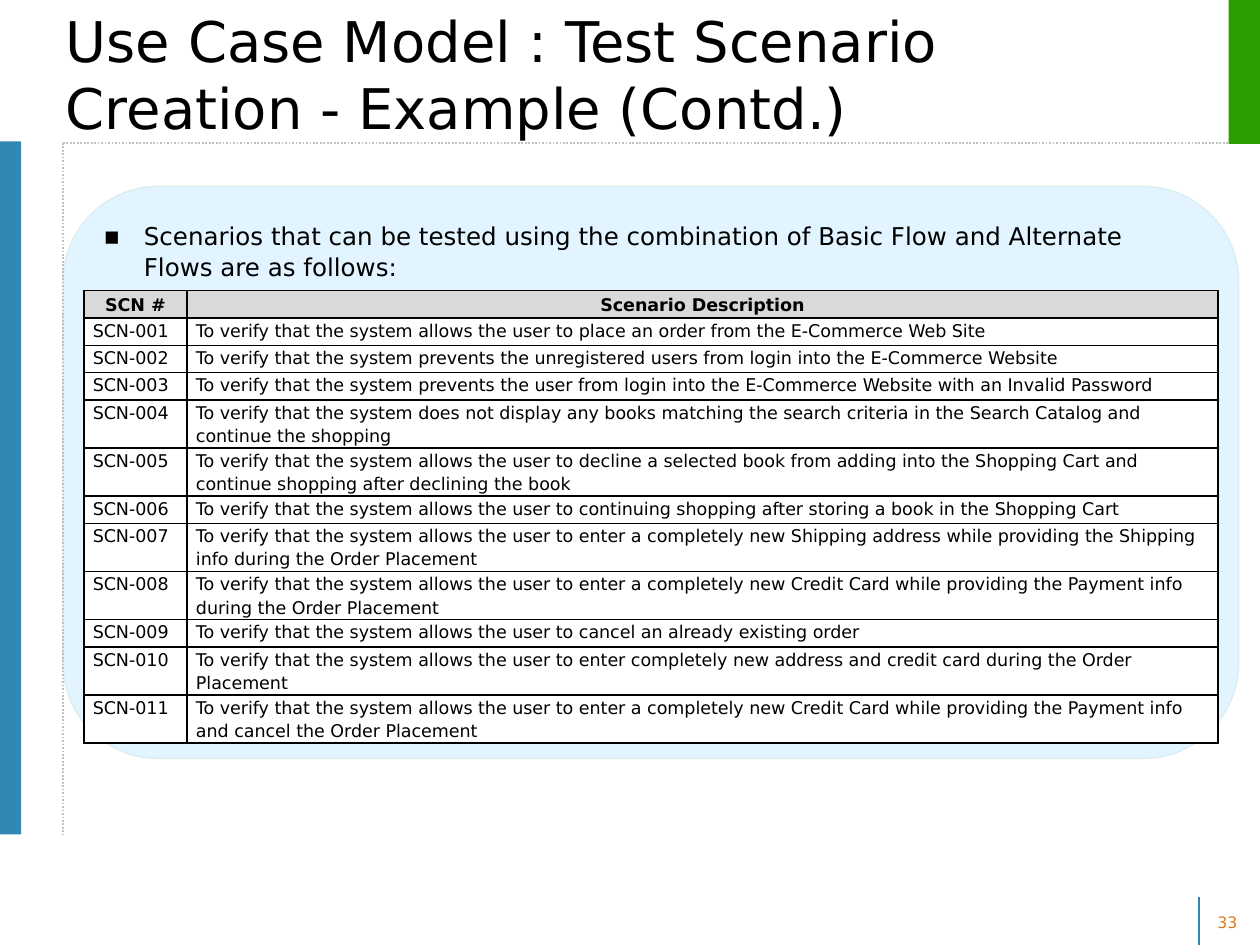
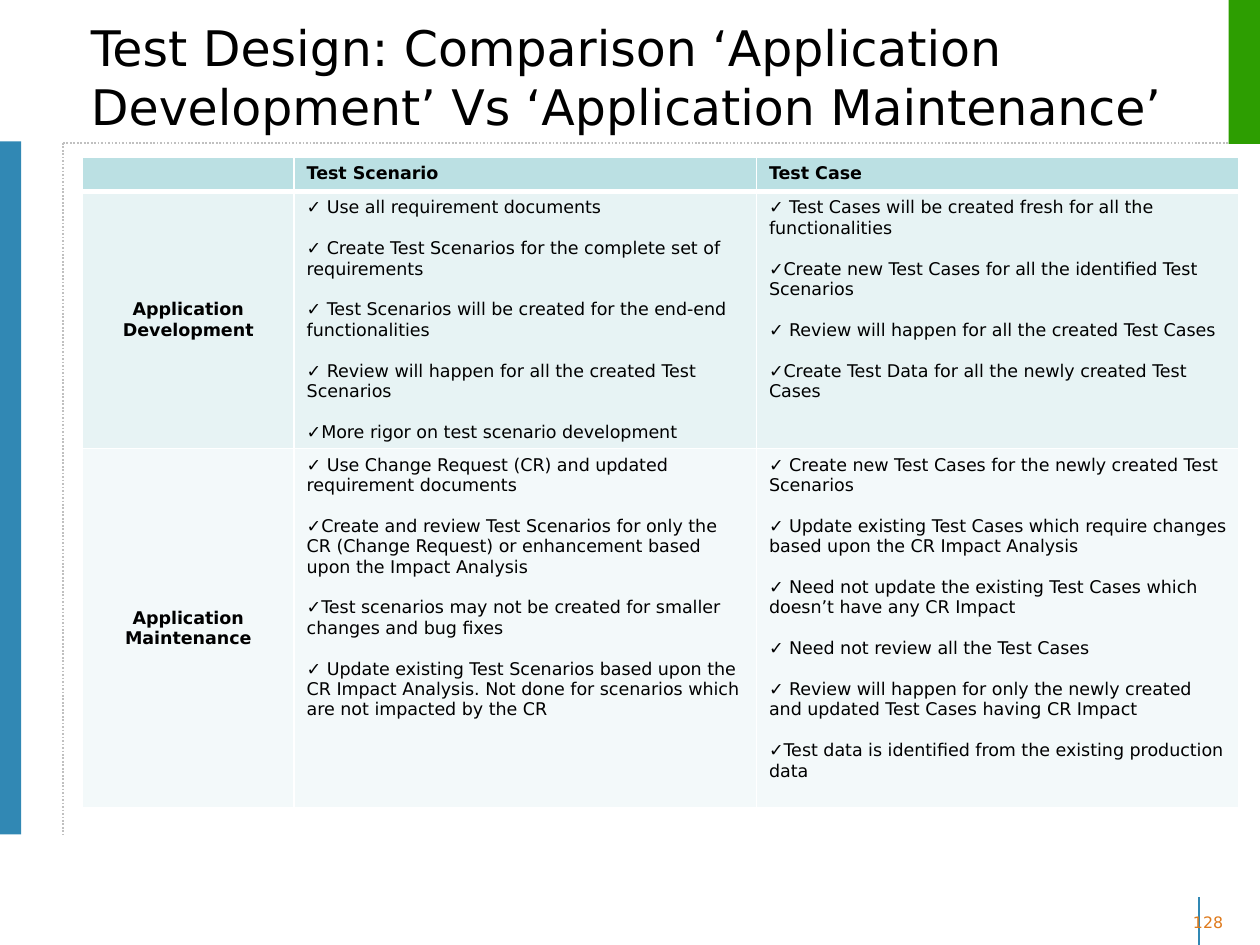
import pptx
import pptx.util
import pptx.dml.color
import pptx.enum.dml
import pptx.enum.shapes
import pptx.enum.text
import pptx.oxml
import pptx.oxml.ns
import lxml.etree

Cm, Pt = pptx.util.Cm, pptx.util.Pt
ALIGN = pptx.enum.text.PP_ALIGN
ANCHOR = pptx.enum.text.MSO_ANCHOR
SHAPE = pptx.enum.shapes.MSO_SHAPE
FONT = "DejaVu Sans"
COLORS = {
    "text": "000000", "white": "FFFFFF", "blue": "3188B4", "green": "2D9E01",
    "rule": "C0C0C0", "number": "DF7A1C", "panel": "E1F4FF", "edge": "DAEDEF",
    "head": "D9D9D9", "teal": "BBE0E3", "mid": "E7F3F4", "pale": "F3F9FA",
}

SCENES = [
    "To verify that the system allows the user to place an order from the E-Commerce Web Site",
    "To verify that the system prevents the unregistered users from login into the E-Commerce Website",
    "To verify that the system prevents the user from login into the E-Commerce Website with an Invalid Password",
    "To verify that the system does not display any books matching the search criteria in the Search Catalog and continue the shopping",
    "To verify that the system allows the user to decline a selected book from adding into the Shopping Cart and continue shopping after declining the book",
    "To verify that the system allows the user to continuing shopping after storing a book in the Shopping Cart",
    "To verify that the system allows the user to enter a completely new Shipping address while providing the Shipping info during the Order Placement",
    "To verify that the system allows the user to enter a completely new Credit Card while providing the Payment info during the Order Placement",
    "To verify that the system allows the user to cancel an already existing order",
    "To verify that the system allows the user to enter completely new address and credit card during the Order Placement",
    "To verify that the system allows the user to enter a completely new Credit Card while providing the Payment info and cancel the Order Placement",
]

# Each row: label, fill, scenario points, case points
WORK = [
    ("Application Development", "mid", [
        " Use all requirement documents",
        " Create Test Scenarios for the complete set of requirements",
        " Test Scenarios will be created for the end-end functionalities",
        " Review will happen for all the created Test Scenarios",
        "More rigor on test scenario development",
    ], [
        " Test Cases will be created fresh for all the functionalities",
        "Create new Test Cases for all the identified Test Scenarios",
        " Review will happen for all the created Test Cases",
        "Create Test Data for all the newly created Test Cases",
    ]),
    ("Application Maintenance", "pale", [
        " Use Change Request (CR) and updated requirement documents",
        "Create and review Test Scenarios for only the CR (Change Request) or enhancement based upon the Impact Analysis",
        "Test scenarios may not be created for smaller changes and bug fixes",
        " Update existing Test Scenarios based upon the CR Impact Analysis. Not done for scenarios which are not impacted by the CR",
    ], [
        " Create new Test Cases for the newly created Test Scenarios",
        " Update existing Test Cases which require changes based upon the CR Impact Analysis",
        " Need not update the existing Test Cases which doesn’t have any CR Impact",
        " Need not review all the Test Cases",
        " Review will happen for only the newly created and updated Test Cases having CR Impact",
        "Test data is identified from the existing production data",
    ]),
]


def tint(name):
    return pptx.dml.color.RGBColor.from_string(COLORS[name])


def style(para, size, color="text", bold=False, align=ALIGN.LEFT):
    para.alignment = align
    font = para.font
    font.name, font.size, font.bold = FONT, Pt(size), bold
    font.color.rgb = tint(color)


def bullet(para, mark, indent=0):
    props = para._p.get_or_add_pPr()
    props.set("marL", str(Cm(indent)))
    props.set("indent", str(-Cm(indent)))
    lxml.etree.SubElement(props, pptx.oxml.ns.qn("a:buFont"), typeface=FONT)
    lxml.etree.SubElement(props, pptx.oxml.ns.qn("a:buChar"), char=mark)


def block(slide, kind, box, fill, edge=None):
    shape = slide.shapes.add_shape(kind, *map(Cm, box))
    shape.shadow.inherit = False
    shape.fill.solid()
    shape.fill.fore_color.rgb = tint(fill)
    if edge:
        shape.line.color.rgb = tint(edge)
        shape.line.width = Pt(0.75)
    else:
        shape.line.fill.background()
    return shape


def rule(slide, ends, color, dash=None):
    link = slide.shapes.add_connector(
        pptx.enum.shapes.MSO_CONNECTOR.STRAIGHT, *map(Cm, ends))
    link.line.color.rgb = tint(color)
    link.line.width = Pt(1)
    link.line.dash_style = dash
    lxml.etree.SubElement(link.element.spPr, pptx.oxml.ns.qn("a:effectLst"))


def frame(slide):
    """Rules and bands shared by every slide."""
    dots = pptx.enum.dml.MSO_LINE.ROUND_DOT
    rule(slide, (24.17, 19.05, 24.17, 18.08), "blue")
    rule(slide, (1.27, 2.88, 25.04, 2.88), "rule", dots)
    rule(slide, (1.27, 2.88, 1.27, 16.82), "rule", dots)
    block(slide, SHAPE.RECTANGLE, (0, 2.85, 0.43, 13.97), "blue")
    block(slide, SHAPE.RECTANGLE, (24.77, 0, 0.63, 2.9), "green")


def place(shape, box):
    shape.left, shape.top, shape.width, shape.height = map(Cm, box)
    text = shape.text_frame
    text.word_wrap = True
    text.auto_size = pptx.enum.text.MSO_AUTO_SIZE.NONE
    return text


def title(slide, words, box, size):
    text = place(slide.shapes.title, box)
    text.vertical_anchor = ANCHOR.MIDDLE
    text.text = words
    style(text.paragraphs[0], size)


def number(slide, digits, left):
    text = place(slide.shapes.add_textbox(0, 0, 0, 0), (left, 18.27, 1.83, 0.64))
    text.text = digits
    style(text.paragraphs[0], 9, "number")


def base(deck, layout, words, box, size, digits, left):
    slide = deck.slides.add_slide(deck.slide_layouts[layout])
    frame(slide)
    title(slide, words, box, size)
    number(slide, digits, left)
    return slide


def grid(slide, left, top, cols, rows):
    table = slide.shapes.add_table(
        len(rows), len(cols), Cm(left), Cm(top), Cm(sum(cols)), Cm(sum(rows))).table
    for col, width in zip(table.columns, cols):
        col.width = Cm(width)
    for row, height in zip(table.rows, rows):
        row.height = Cm(height)
    return table


def paint(cell, fill, line, top=1, bottom=1):
    """Borders go in ahead of the fill."""
    props = cell._tc.get_or_add_tcPr()
    for side, width in (("L", 1), ("R", 1), ("T", top), ("B", bottom)):
        edge = lxml.etree.SubElement(
            props, pptx.oxml.ns.qn("a:ln" + side), w=str(Pt(width)))
        solid = lxml.etree.SubElement(edge, pptx.oxml.ns.qn("a:solidFill"))
        lxml.etree.SubElement(
            solid, pptx.oxml.ns.qn("a:srgbClr"), val=COLORS[line])
    cell.fill.solid()
    cell.fill.fore_color.rgb = tint(fill)


def panel(slide, words, box):
    """Rounded panel with the lead bullet near its top."""
    left, top, width, _ = box
    back = block(slide, SHAPE.ROUNDED_RECTANGLE, box, "panel", "edge")
    body = slide.placeholders[1]
    body.element.addprevious(back.element)
    text = place(body, (left + 0.82, top + 0.68, width - 2, 1.35))
    text.margin_left = text.margin_right = text.margin_top = text.margin_bottom = 0
    text.text = words
    para = text.paragraphs[0]
    para.line_spacing = 1.04
    para.space_before = Pt(0)
    bullet(para, "▪", 0.81)
    style(para, 14)


def scenes(slide, left, top):
    rows = [("SCN #", "Scenario Description")]
    rows += [(f"SCN-{i:03}", words) for i, words in enumerate(SCENES, 1)]
    # Long descriptions take two lines
    sizes = [0.97 if len(words) > 110 else 0.55 for _, words in rows]
    table = grid(slide, left, top, (2.08, 20.78), sizes)
    for r, row in enumerate(rows):
        head = r == 0
        for c, words in enumerate(row):
            cell = table.cell(r, c)
            paint(cell, "head" if head else "white", "text")
            cell.margin_left = cell.margin_right = Cm(0.18)
            cell.margin_top = cell.margin_bottom = 0
            cell.vertical_anchor = ANCHOR.MIDDLE if head else ANCHOR.TOP
            cell.text = words
            para = cell.text_frame.paragraphs[0]
            para.line_spacing = 1.15
            style(para, 10, bold=head, align=ALIGN.CENTER if head else ALIGN.LEFT)


def points(cell, items):
    text = cell.text_frame
    text.text = "\n".join(items)
    for i, para in enumerate(text.paragraphs):
        if i:
            para.space_before = Pt(11.65)
        bullet(para, "✓")
        style(para, 10)


def work(slide, left, top):
    table = grid(slide, left, top, (4.27, 9.32, 9.73), (0.69, 5.18, 7.24))
    # Header row, whose first cell is empty
    for c, words in enumerate(("", "Test Scenario", "Test Case")):
        cell = table.cell(0, c)
        paint(cell, "teal", "white", bottom=3)
        if words:
            cell.text = words
            style(cell.text_frame.paragraphs[0], 10, bold=True)
        else:
            cell.margin_top = cell.margin_bottom = 0
            para = cell.text_frame.paragraphs[0]
            lxml.etree.SubElement(
                para._p, pptx.oxml.ns.qn("a:endParaRPr"), sz="1000")
    # Label and points
    for r, (label, fill, *lists) in enumerate(WORK, 1):
        for c in range(3):
            paint(table.cell(r, c), fill, "white", top=3 if r == 1 else 1)
        cell = table.cell(r, 0)
        cell.vertical_anchor = ANCHOR.MIDDLE
        cell.text = label
        style(cell.text_frame.paragraphs[0], 10, bold=True, align=ALIGN.CENTER)
        for c, items in enumerate(lists, 1):
            points(table.cell(r, c), items)


def main():
    deck = pptx.Presentation()
    deck.slide_width, deck.slide_height = Cm(25.4), Cm(19.05)

    slide = base(deck, 1, "Use Case Model : Test Scenario Creation - Example (Contd.)",
                 (1.07, 0.64, 20.75, 1.7), 32, "33", 24.29)
    panel(slide, "Scenarios that can be tested using the combination of Basic Flow "
          "and Alternate Flows are as follows:", (1.27, 3.76, 23.7, 11.53))
    scenes(slide, 1.69, 5.86)

    slide = base(deck, 5, "Test Design: Comparison ‘Application Development’ Vs "
                 "‘Application Maintenance’", (1.58, 0.69, 22.33, 1.7), 28, "128", 23.8)
    work(slide, 1.66, 3.17)
    deck.save("out.pptx")


if __name__ == "__main__":
    main()
